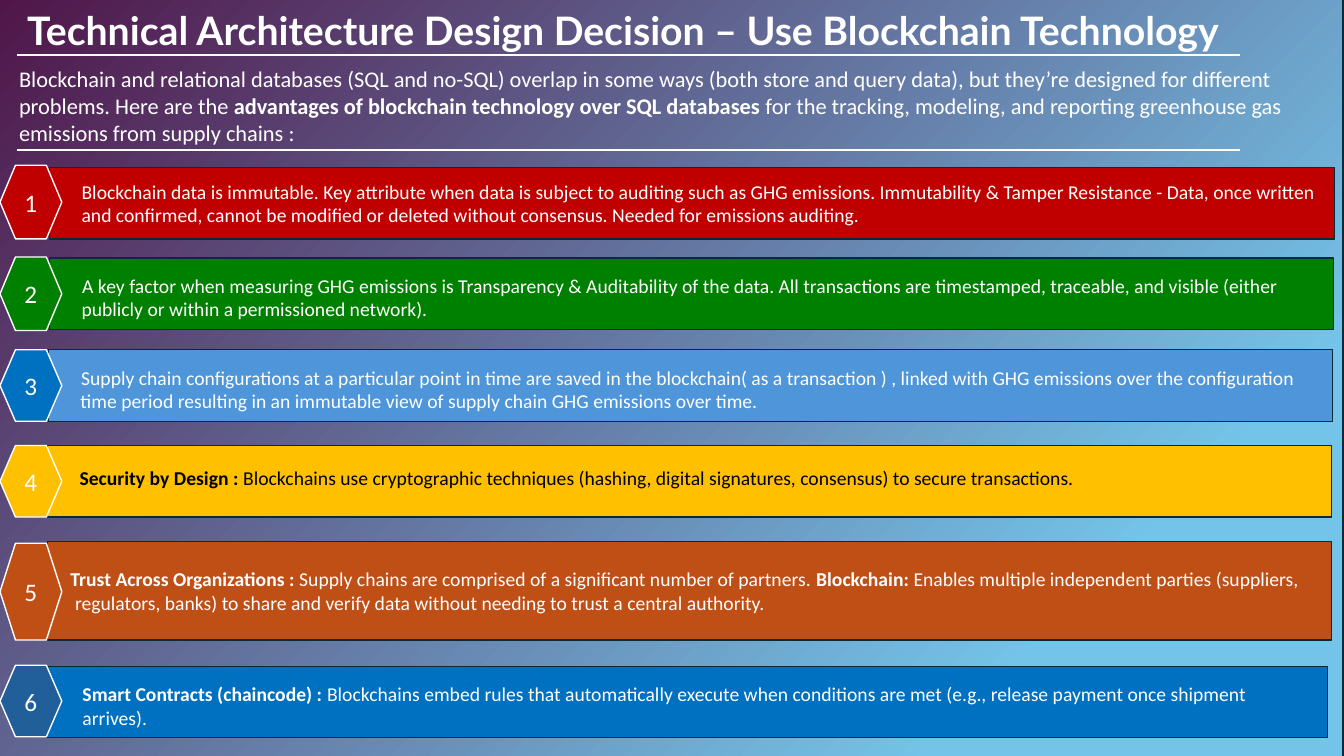
from pptx import Presentation
from pptx.dml.color import RGBColor as RGB
from pptx.enum.shapes import MSO_CONNECTOR as LINK, MSO_SHAPE as SHAPE
from pptx.enum.text import MSO_ANCHOR as ANCHOR, MSO_AUTO_SIZE as FIT, PP_ALIGN as ALIGN
from pptx.oxml import parse_xml
from pptx.oxml.ns import nsdecls, qn
from pptx.util import Inches, Pt

THEME = {
    "white": "FFFFFF", "black": "000000", "outline": "092A39",
    "red": "C00000", "green": "008000", "sky": "4E95D9", "blue": "0070C0",
    "amber": "FFC000", "rust": "C04F15", "navy": "215F9A",
    "glow": [(20, "74C4E9"), (100, "501649"), (100, "A2D8F0")],
    "body font": "Calibri", "title font": "Lato",
    "title": 28, "intro": 16, "badge": 18, "reason": 14,
}

deck = Presentation()
deck.slide_width, deck.slide_height = Inches(13.33), Inches(7.5)
slide = deck.slides.add_slide(deck.slide_layouts[6])
COL, ROW = deck.slide_width / 100, deck.slide_height / 100


def add_block(kind, left, top, width, height, fill, outline):
    """Place a preset shape on the 100 by 100 grid; without a kind, a text box."""
    place = [round(n) for n in (left * COL, top * ROW, width * COL, height * ROW)]
    if kind is None:
        block = slide.shapes.add_textbox(*place)
        block.text_frame.auto_size = FIT.SHAPE_TO_FIT_TEXT
    else:
        block = slide.shapes.add_shape(kind, *place)
        block.shadow.inherit = False
        block.line.color.rgb = RGB.from_string(THEME[outline])
        block.line.width = Pt(1)
        block.text_frame.vertical_anchor = ANCHOR.MIDDLE
        if fill:
            block.fill.solid()
            block.fill.fore_color.rgb = RGB.from_string(THEME[fill])
        else:
            block.fill.background()
    block.text_frame.word_wrap = True
    return block


def write(paragraph, text, size, color="white", font="body font", align=ALIGN.LEFT):
    """Fill a paragraph; the parts between ** marks are bold."""
    paragraph.alignment = align
    for part, words in enumerate(text.split("**")):
        if words:
            run = paragraph.add_run()
            run.text = words
            run.font.name = THEME[font]
            run.font.size = Pt(THEME[size])
            run.font.bold = part % 2 == 1
            run.font.color.rgb = RGB.from_string(THEME[color])


# Backdrop with a radial gradient
backdrop = add_block(SHAPE.RECTANGLE, -0.08, -0.13, 100, 102.27, None, "outline")
stops = "".join(f'<a:gs pos="{at * 1000}"><a:srgbClr val="{color}"/></a:gs>'
                for at, color in THEME["glow"])
glow = parse_xml(
    f'<a:gradFill {nsdecls("a")} rotWithShape="1"><a:gsLst>{stops}</a:gsLst>'
    '<a:path path="circle"><a:fillToRect l="100000" t="100000"/></a:path>'
    '<a:tileRect r="-100000" b="-100000"/></a:gradFill>')
backdrop_props = backdrop.element.spPr
backdrop_props.replace(backdrop_props.find(qn("a:noFill")), glow)

# Heading and introduction
intro = add_block(None, 0.68, 8, 96.62, 12.13, None, None)
write(intro.text_frame.paragraphs[0],
      "Blockchain and relational databases (SQL and no-SQL) overlap in some ways (both store "
      "and query data), but they’re designed for different problems. Here are the **advantages "
      "of blockchain technology over SQL databases **for the tracking, modeling, and reporting "
      "greenhouse gas emissions from supply chains :", "intro")
title = add_block(None, 1.28, 0.13, 96.62, 7.6, None, None)
write(title.text_frame.paragraphs[0],
      "**Technical Architecture Design Decision – Use Blockchain Technology**",
      "title", font="title font")

# Rules above and below the introduction
for level in (7.33, 19.87):
    rule = slide.shapes.add_connector(LINK.STRAIGHT, round(1.28 * COL), round(level * ROW),
                                      round(92.27 * COL), round(level * ROW))
    rule.line.color.rgb = RGB.from_string(THEME["white"])
    rule.line.width = Pt(1.5)
    rule.element.spPr.append(parse_xml(f'<a:effectLst {nsdecls("a")}/>'))

# Reasons: bar (left, right, top, height), badge (top, height), bar and badge fill,
# text colour, extra inset (top, bottom), lines with their indents
reasons = [
    ((3.68, 99.3, 22.13, 9.47), (21.87, 9.73), "red", "red", "white", (0, 0), [
        (1.65, "Blockchain data is immutable. Key attribute when data is subject to auditing such "
               "as GHG emissions. Immutability & Tamper Resistance - Data, once written"),
        (1.65, "and confirmed, cannot be modified or deleted without consensus. Needed for "
               "emissions auditing.")]),
    ((3.68, 99.23, 34.13, 9.47), (34, 9.73), "green", "green", "white", (0.9, 0), [
        (1.7, "A key factor when measuring GHG emissions is Transparency & Auditability of the "
              "data. All transactions are timestamped, traceable, and visible (either"),
        (1.65, "publicly or within a permissioned network).")]),
    ((3.6, 99.15, 46.27, 9.47), (46.27, 9.47), "sky", "blue", "white", (0.9, 0), [
        (1.7, "Supply chain configurations at a particular point in time are saved in the "
              "blockchain( as a transaction ) , linked with GHG emissions over the configuration"),
        (1.65, "time period resulting in an immutable view of supply chain GHG emissions over "
               "time.")]),
    ((3.53, 99.08, 58.93, 9.47), (58.93, 9.47), "amber", "amber", "black", (0, 0.9), [
        (1.65, "**Security by Design : **Blockchains use cryptographic techniques (hashing, "
               "digital signatures, consensus) to secure transactions.")]),
    ((3.53, 99.08, 71.6, 13.07), (71.87, 12.8), "rust", "rust", "white", (0, 0), [
        (0.98, "**Trust Across Organizations : **Supply chains are comprised of a significant "
               "number of partners. **Blockchain:** Enables multiple independent parties "
               "(suppliers,"),
        (1.32, "regulators, banks) to share and verify data without needing to trust a central "
               "authority.")]),
    ((3.45, 98.78, 88.13, 9.47), (88, 9.47), "blue", "navy", "white", (0.9, 0), [
        (1.95, "**Smart Contracts (chaincode) : **Blockchains embed rules that automatically "
               "execute when conditions are met (e.g., release payment once shipment"),
        (1.95, "arrives).")]),
]
for number, reason in enumerate(reasons, 1):
    (left, right, top, height), badge_span, bar_fill, badge_fill, ink, inset, lines = reason

    bar = add_block(SHAPE.RECTANGLE, left, top, right - left, height, bar_fill, "outline")
    frame = bar.text_frame
    frame.margin_top, frame.margin_bottom = (Inches(0.05) + round(n * ROW) for n in inset)
    for index, (indent, text) in enumerate(lines):
        line = frame.add_paragraph() if index else frame.paragraphs[0]
        line._p.get_or_add_pPr().set("marL", str(round(indent * COL)))
        write(line, text, "reason", ink)

    badge = add_block(SHAPE.HEXAGON, 0, badge_span[0], 4.6, badge_span[1], badge_fill, "white")
    write(badge.text_frame.paragraphs[0], str(number), "badge", align=ALIGN.CENTER)

deck.save("out.pptx")
